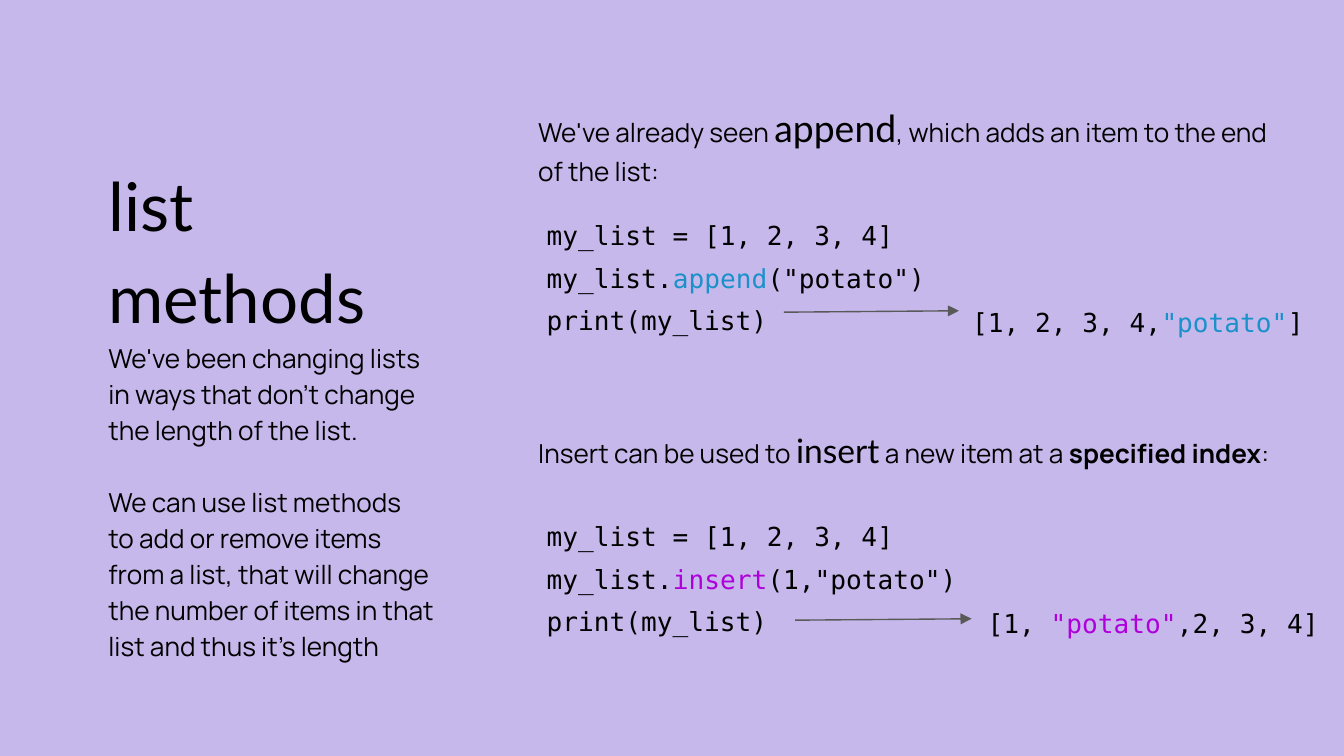
import pptx
import pptx.dml.color
import pptx.enum.shapes
import pptx.enum.text
import pptx.oxml
import pptx.oxml.ns
import pptx.util

PX = 9525
LAVENDER = pptx.dml.color.RGBColor(0xC6, 0xB8, 0xEB)
BLACK = pptx.dml.color.RGBColor(0x00, 0x00, 0x00)
BLUE = pptx.dml.color.RGBColor(0x1B, 0x91, 0xCA)
PURPLE = pptx.dml.color.RGBColor(0xAF, 0x00, 0xDB)
GREY = pptx.dml.color.RGBColor(0x59, 0x59, 0x59)
BODY, HEADING, CODE = "Manrope", "Lato", "DejaVu Sans Mono"


class SlideWriter:
    """Holds the slide and its style, and adds prose, code and arrows in px of 1/96 inch."""

    def __init__(self, slide):
        self.slide = slide
        self.inset = pptx.util.Pt(7.2)
        slide.background.fill.solid()
        slide.background.fill.fore_color.rgb = LAVENDER

    def run(self, paragraph, text, font=BODY, size=14, color=BLACK, bold=False):
        run = paragraph.add_run()
        run.text = text
        run.font.name = font
        run.font.size = pptx.util.Pt(size)
        run.font.color.rgb = color
        run.font.bold = bold

    def prose(self, box, paragraphs, spacing=1.15):
        area = self.slide.shapes.add_textbox(*(length * PX for length in box))
        frame = area.text_frame
        frame.word_wrap = True
        frame.auto_size = pptx.enum.text.MSO_AUTO_SIZE.SHAPE_TO_FIT_TEXT
        frame.margin_left = frame.margin_right = self.inset
        frame.margin_top = frame.margin_bottom = self.inset
        for index, runs in enumerate(paragraphs):
            paragraph = frame.add_paragraph() if index else frame.paragraphs[0]
            paragraph.line_spacing = spacing
            for text, style in runs:
                self.run(paragraph, text, **style)
        return area

    def code(self, box, lines, accent):
        styled = [
            [(part, {"font": CODE, "color": accent if index == 1 else BLACK})
             for index, part in enumerate(line)]
            for line in lines
        ]
        return self.prose(box, styled, spacing=1.36)

    def arrow(self, start, end, target=None):
        ends = [length * PX for length in (*start, *end)]
        arrow = self.slide.shapes.add_connector(
            pptx.enum.shapes.MSO_CONNECTOR.STRAIGHT, *ends)
        if target is not None:
            arrow.end_connect(target, 1)
        arrow.line.color.rgb = GREY
        arrow.line.width = pptx.util.Pt(0.75)
        namespace = pptx.oxml.ns.nsdecls("a")
        arrow.line._get_or_add_ln().append(
            pptx.oxml.parse_xml(f'<a:tailEnd {namespace} type="triangle"/>'))
        arrow._element.spPr.append(pptx.oxml.parse_xml(f"<a:effectLst {namespace}/>"))

    def example(self, top, call, accent):
        lines = [("my_list = [1, 2, 3, 4]",), call, ("print(my_list)",)]
        self.code((381, top, 315, 104), lines, accent)


def main():
    deck = pptx.Presentation()
    deck.slide_width, deck.slide_height = 960 * PX, 540 * PX
    writer = SlideWriter(deck.slides.add_slide(deck.slide_layouts[6]))

    overview = writer.prose((68, 99, 254, 343), [
        [("list methods ", {"font": HEADING, "size": 36}),
         ("We've been changing lists in ways that don't change the length of the list.", {})],
        [("We can use list methods", {})],
        [("to add or remove items from a list, that will change the number of items "
          "in that list and thus it’s length", {})],
    ])
    overview.text_frame.paragraphs[1].space_before = pptx.util.Pt(19.3)

    writer.prose((375, 61, 548, 79), [[
        ("We've already seen ", {}),
        ("append", {"font": HEADING, "size": 20}),
        (", which adds an item to the end of the list:", {}),
    ]])
    writer.example(139, ("my_list.", "append", '("potato")'), BLUE)
    append_result = writer.code(
        (685, 201, 315, 42), [("[1, 2, 3, 4,", '"potato"', "]")], BLUE)
    writer.arrow((560, 223), (685, 222), append_result)

    writer.prose((375, 293, 548, 48), [[
        ("Insert can be used to ", {}),
        ("insert", {"font": HEADING, "size": 18}),
        (" a new item at a ", {}),
        ("specified index", {"bold": True}),
        (":", {}),
    ]])
    writer.example(354, ("my_list.", "insert", '(1,"potato")'), PURPLE)
    writer.code((696, 416, 315, 42), [("[1, ", '"potato"', ",2, 3, 4]")], PURPLE)
    writer.arrow((568, 443), (694, 442))

    deck.save("out.pptx")


if __name__ == "__main__":
    main()
